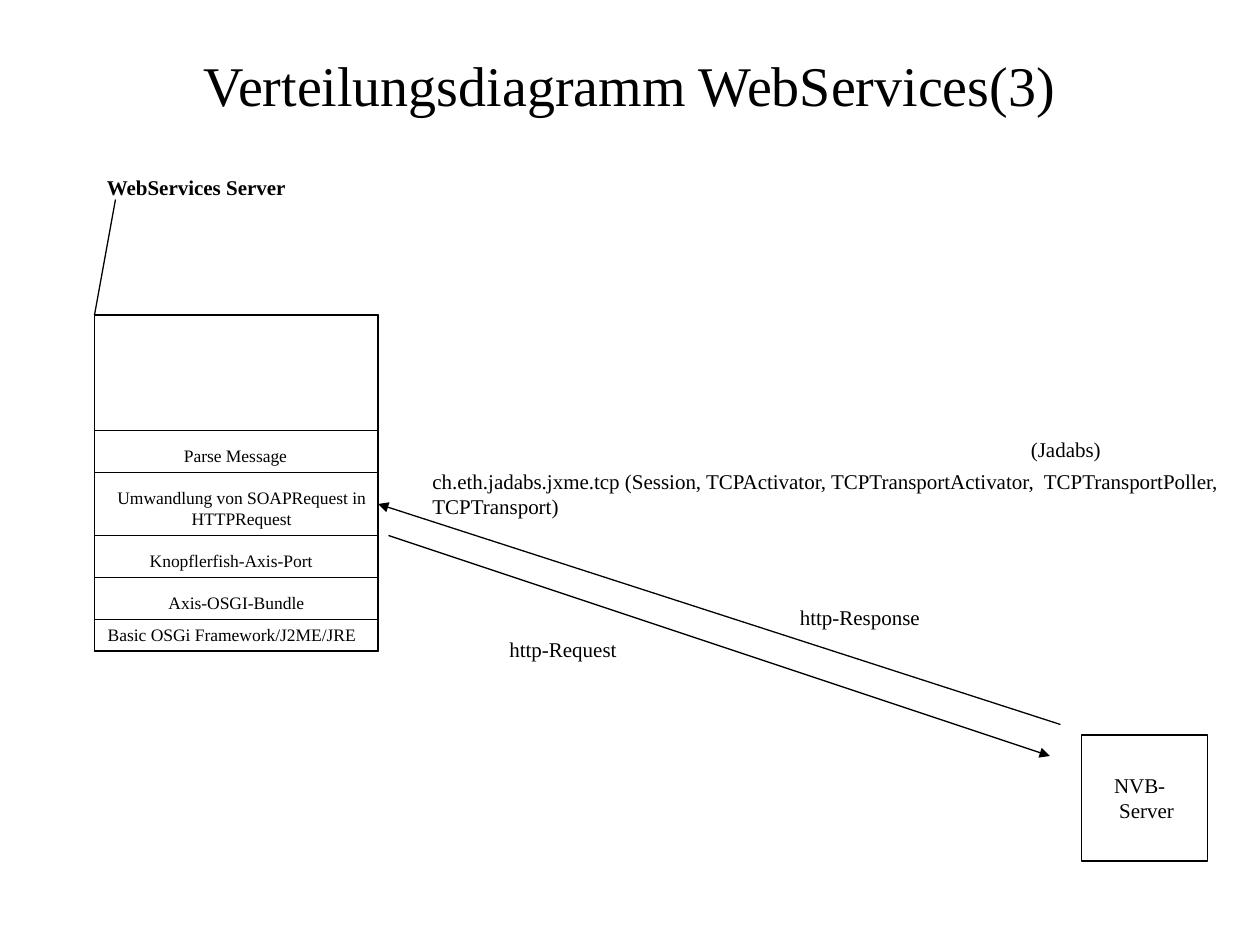
"""Builds the deployment diagram slide for the web services."""
from dataclasses import dataclass

from lxml import etree
from pptx import Presentation
from pptx.dml.color import RGBColor
from pptx.enum.shapes import MSO_CONNECTOR, MSO_SHAPE
from pptx.enum.text import MSO_ANCHOR, MSO_AUTO_SIZE, PP_ALIGN
from pptx.oxml.ns import qn
from pptx.slide import Slide
from pptx.util import Pt

LEFT, CENTER = PP_ALIGN.LEFT, PP_ALIGN.CENTER
TOP, MIDDLE = MSO_ANCHOR.TOP, MSO_ANCHOR.MIDDLE
GROW, FIXED = MSO_AUTO_SIZE.SHAPE_TO_FIT_TEXT, MSO_AUTO_SIZE.NONE
RECTANGLE, STRAIGHT = MSO_SHAPE.RECTANGLE, MSO_CONNECTOR.STRAIGHT


@dataclass(frozen=True)
class Theme:
    font: str = "Times New Roman"
    ink: RGBColor = RGBColor(0, 0, 0)
    title: float = 32
    label: float = 12
    layer: float = 10
    stroke: float = 0.75


@dataclass(frozen=True)
class Box:
    left: float
    top: float
    width: float
    height: float


@dataclass(frozen=True)
class Label:
    text: str
    box: Box
    size: float
    align: PP_ALIGN = LEFT
    bold: bool = False
    anchor: MSO_ANCHOR = TOP
    fit: MSO_AUTO_SIZE = GROW


@dataclass(frozen=True)
class Link:
    start: tuple[float, float]
    end: tuple[float, float]
    arrow: bool = True


THEME = Theme()
STACK_LEFT, STACK_TOP, STACK_WIDTH = 54, 180, 162
LAYER_HEIGHTS = (66, 24, 36, 24, 24, 18)
SERVER_BOX = Box(618, 420, 72, 72)

LABELS = (
    Label("Verteilungsdiagramm WebServices(3)", Box(54, 12, 612, 72),
          THEME.title, CENTER, anchor=MIDDLE, fit=FIXED),
    Label("WebServices Server", Box(54, 96, 612, 360), THEME.label,
          bold=True, fit=FIXED),
    Label("Parse Message", Box(48, 250.5, 173, 19.5), THEME.layer, CENTER),
    Label("Umwandlung von SOAPRequest in HTTPRequest", Box(54, 275, 168, 31.5),
          THEME.layer, CENTER),
    Label("Knopflerfish-Axis-Port", Box(78.5, 311, 116, 19.5), THEME.layer),
    Label("Axis-OSGI-Bundle", Box(54, 335, 162, 19.5), THEME.layer, CENTER),
    Label("Basic OSGi Framework/J2ME/JRE", Box(54.5, 353, 161, 19.5),
          THEME.layer),
    Label("(Jadabs)", Box(582, 246, 138, 21.5), THEME.label),
    Label("ch.eth.jadabs.jxme.tcp (Session, TCPActivator, "
          "TCPTransportActivator,  TCPTransportPoller, TCPTransport)",
          Box(240, 264, 474, 36), THEME.label),
    Label("http-Request", Box(284, 360, 82, 21.5), THEME.label),
    Label("http-Response", Box(450, 342, 90, 21.5), THEME.label),
    Label("NVB-\n Server", Box(629.5, 438, 60, 36), THEME.label),
)

LINKS = (
    Link((54, 180), (66, 114), arrow=False),
    Link((222, 306), (600, 432)),
    Link((606, 414), (216, 288)),
)


def layer_boxes() -> list[Box]:
    """Stacks the server layers from top to bottom."""
    return [
        Box(STACK_LEFT, STACK_TOP + sum(LAYER_HEIGHTS[:index]), STACK_WIDTH, height)
        for index, height in enumerate(LAYER_HEIGHTS)
    ]


def draw_box(slide: Slide, box: Box) -> None:
    """Draws an unfilled outlined rectangle."""
    outline = slide.shapes.add_shape(
        RECTANGLE, Pt(box.left), Pt(box.top), Pt(box.width), Pt(box.height))
    outline.shadow.inherit = False
    outline.fill.background()
    outline.line.color.rgb = THEME.ink
    outline.line.width = Pt(THEME.stroke)


def draw_label(slide: Slide, label: Label) -> None:
    """Draws a text label."""
    box = label.box
    frame = slide.shapes.add_textbox(
        Pt(box.left), Pt(box.top), Pt(box.width), Pt(box.height)).text_frame
    frame.word_wrap = True
    frame.auto_size = label.fit
    frame.vertical_anchor = label.anchor
    frame.text = label.text
    for paragraph in frame.paragraphs:
        paragraph.alignment = label.align
        for run in paragraph.runs:
            run.font.name = THEME.font
            run.font.size = Pt(label.size)
            run.font.bold = label.bold
            run.font.color.rgb = THEME.ink


def draw_link(slide: Slide, link: Link) -> None:
    """Draws a straight line, with an arrowhead at its end if asked for."""
    connector = slide.shapes.add_connector(
        STRAIGHT, *(Pt(value) for value in link.start + link.end))
    connector.line.color.rgb = THEME.ink
    connector.line.width = Pt(THEME.stroke)
    if link.arrow:
        etree.SubElement(connector.line._get_or_add_ln(), qn("a:tailEnd"),
                         type="triangle")
    etree.SubElement(connector._element.spPr, qn("a:effectLst"))


def main() -> None:
    """Builds and saves the slide."""
    deck = Presentation()
    deck.slide_width, deck.slide_height = Pt(720), Pt(540)
    slide = deck.slides.add_slide(deck.slide_layouts[6])
    stack = Box(STACK_LEFT, STACK_TOP, STACK_WIDTH, sum(LAYER_HEIGHTS))
    for box in (stack, *layer_boxes(), SERVER_BOX):
        draw_box(slide, box)
    for link in LINKS:
        draw_link(slide, link)
    for label in LABELS:
        draw_label(slide, label)
    deck.save("out.pptx")


if __name__ == "__main__":
    main()
